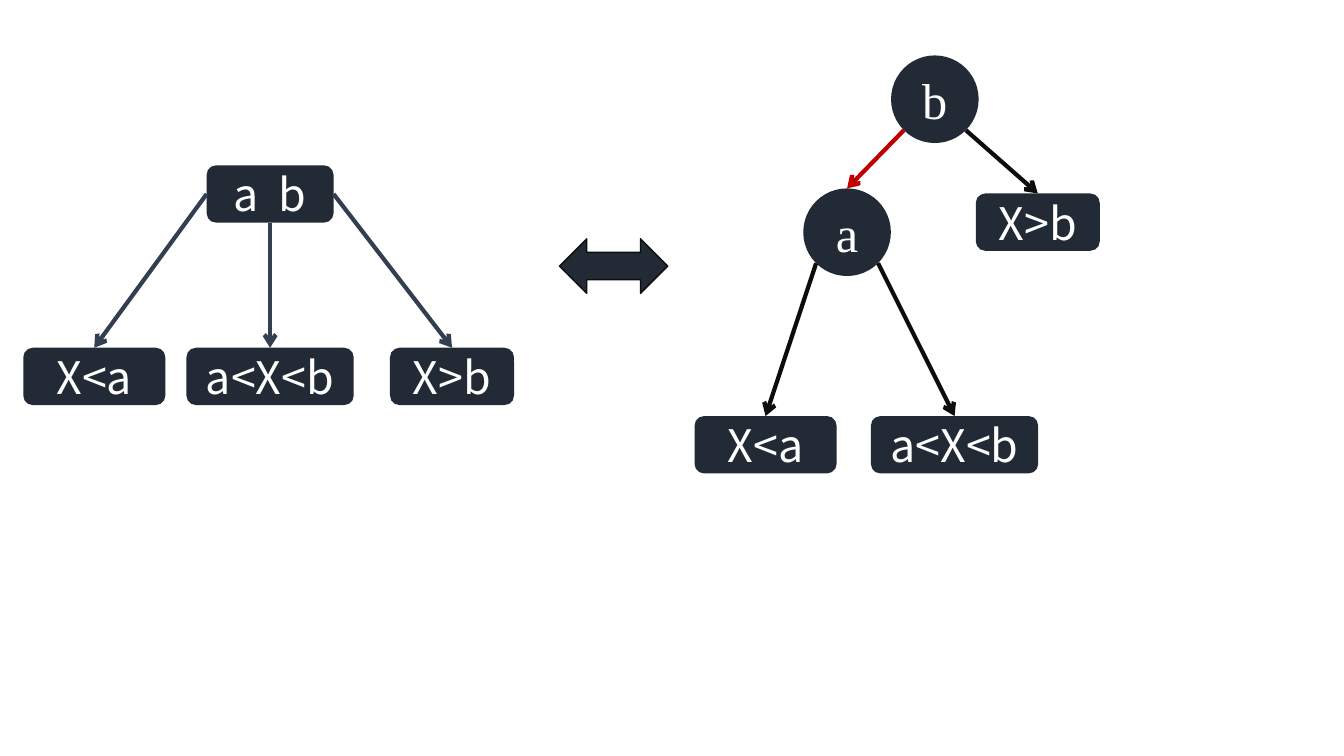
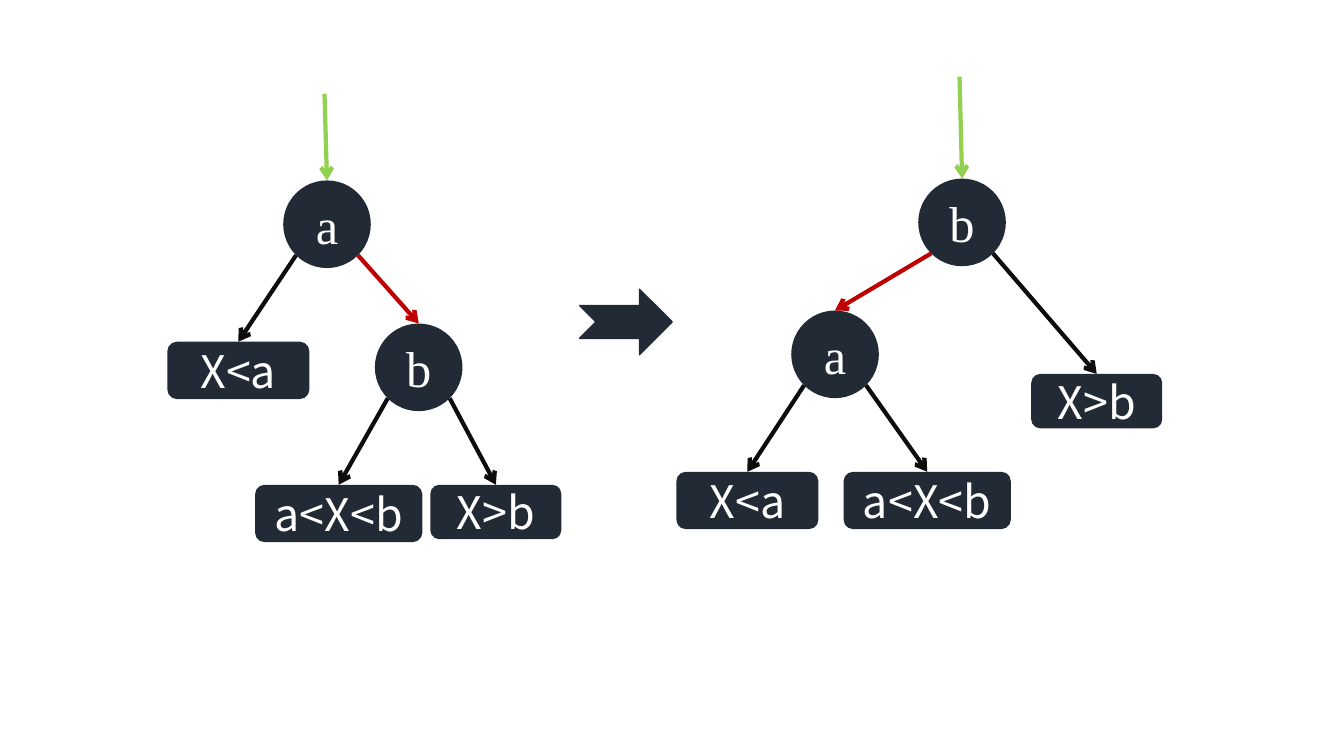
"""Two slides that relate a 2-3 tree node to red-black tree links and rotate a red link."""
from math import sqrt

from lxml.etree import SubElement
from pptx import Presentation
from pptx.dml.color import RGBColor
from pptx.enum.shapes import MSO_CONNECTOR as Connector, MSO_SHAPE as Shape
from pptx.enum.text import MSO_ANCHOR as Anchor, PP_ALIGN as Align
from pptx.oxml.ns import qn
from pptx.util import Pt

NAVY, SLATE, BLACK = "222A35", "333F50", "0D0D0D"
RED, GREEN, WHITE = "C00000", "92D050", "FFFFFF"
KEY_SIZE = 62.6
DIAGONAL = sqrt(0.5) / 2
SIZES = {"a": (KEY_SIZE, KEY_SIZE), "b": (KEY_SIZE, KEY_SIZE), "a  b": (90.7, 41),
         "X<a": (101.5, 41), "a<X<b": (119.5, 41)}
LEFT, DOWN, RIGHT = -1, 0, 1


def rgb(code):
    return RGBColor.from_string(code)


def draw_arrow(slide, start, end, colour):
    arrow = slide.shapes.add_connector(Connector.STRAIGHT, *map(Pt, start + end))
    arrow.line.color.rgb = rgb(colour)
    arrow.line.width = Pt(3)
    SubElement(arrow.line._get_or_add_ln(), qn("a:tailEnd"), type="arrow")
    SubElement(arrow._element.spPr, qn("a:effectLst"))


slides = [
    {
        "greater": (88.6, 41),
        "sign": (Shape.LEFT_RIGHT_ARROW, 399.6, 170.6, 77.4, 39, BLACK),
        "trees": [
            {"nodes": {"a  b": (147.6, 118.1), "X>b": (278.6, 248.4),
                       "X<a": (16.6, 248.4), "a<X<b": (133.2, 248.4)},
             "links": [("a  b", LEFT, "X<a", SLATE), ("a  b", DOWN, "a<X<b", SLATE),
                       ("a  b", RIGHT, "X>b", SLATE)]},
            {"nodes": {"X>b": (697, 138.2), "X<a": (496.1, 297.2), "a<X<b": (622.1, 297.2),
                       "a": (573.8, 134.6), "b": (636.5, 39.6)},
             "links": [("a", LEFT, "X<a", BLACK), ("a", RIGHT, "a<X<b", BLACK),
                       ("b", RIGHT, "X>b", BLACK), ("b", LEFT, "a", RED)]},
        ],
    },
    {
        "greater": (93.6, 38.9),
        "sign": (Shape.NOTCHED_RIGHT_ARROW, 414, 206.6, 66.2, 46.8, NAVY),
        "trees": [
            {"nodes": {"X>b": (307.4, 346.3), "X<a": (119.5, 244.1), "a<X<b": (182.2, 346.3),
                       "b": (267.8, 231.1), "a": (202.3, 128.9)},
             "links": [("b", LEFT, "a<X<b", BLACK), ("b", RIGHT, "X>b", BLACK),
                       ("a", RIGHT, "b", RED), ("a", LEFT, "X<a", BLACK)],
             "entry": (231.8, 67, "a")},
            {"nodes": {"X>b": (736.6, 267.1), "X<a": (483.1, 337), "a<X<b": (602.6, 337),
                       "b": (655.9, 127.6), "a": (565.2, 221.8)},
             "links": [("a", RIGHT, "a<X<b", BLACK), ("b", RIGHT, "X>b", BLACK),
                       ("b", LEFT, "a", RED), ("a", LEFT, "X<a", BLACK)],
             "entry": (685.4, 54.7, "b")},
        ],
    },
]

deck = Presentation()
deck.slide_width, deck.slide_height = Pt(960), Pt(540)

for content in slides:
    slide = deck.slides.add_slide(deck.slide_layouts[6])
    sizes = SIZES | {"X>b": content["greater"]}

    for tree in content["trees"]:
        tops = {}
        for label, (left, top) in tree["nodes"].items():
            width, height = sizes[label]
            tops[label] = (left + width / 2, top)
            is_key = label in ("a", "b")
            node = slide.shapes.add_shape(Shape.OVAL if is_key else Shape.ROUNDED_RECTANGLE,
                                          *map(Pt, (left, top, width, height)))
            node.shadow.inherit = False
            node.fill.solid()
            node.fill.fore_color.rgb = rgb(NAVY)
            node.line.fill.background()
            node.text_frame.word_wrap = True
            node.text_frame.vertical_anchor = Anchor.MIDDLE
            caption = node.text_frame.paragraphs[0]
            caption.text = label
            caption.alignment = Align.CENTER
            caption.font.name = "Times New Roman" if is_key else "Noto Sans CJK SC"
            caption.font.size = Pt(36 if is_key else 32)
            caption.font.color.rgb = rgb(WHITE)
            if not is_key:
                for script in ("a:ea", "a:cs"):
                    SubElement(caption.font._element, qn(script), typeface="Noto Sans CJK SC")

        for parent, side, child, colour in tree["links"]:
            left, top = tree["nodes"][parent]
            width, height = sizes[parent]
            if parent in ("a", "b"):
                across, along = 0.5 + side * DIAGONAL, 0.5 + DIAGONAL
            else:
                across, along = 0.5 + side / 2, 0.5 if side else 1
            exit_point = (left + width * across, top + height * along)
            draw_arrow(slide, exit_point, tops[child], colour)

        if "entry" in tree:
            x, y, root = tree["entry"]
            draw_arrow(slide, (x, y), tops[root], GREEN)

    kind, *bounds, outline = content["sign"]
    sign = slide.shapes.add_shape(kind, *map(Pt, bounds))
    sign.shadow.inherit = False
    sign.fill.solid()
    sign.fill.fore_color.rgb = rgb(NAVY)
    sign.line.color.rgb = rgb(outline)
    sign.line.width = Pt(1)

deck.save("out.pptx")
